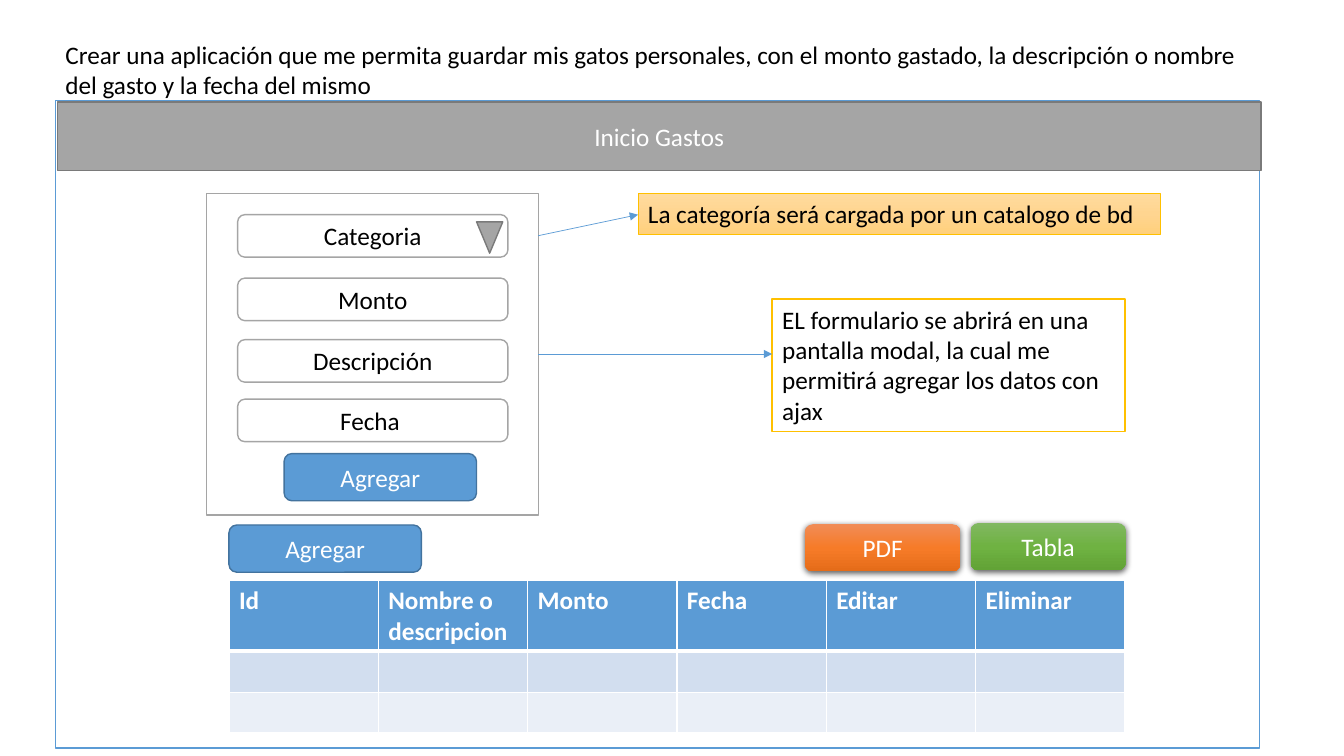
from lxml.etree import SubElement
from pptx import Presentation
from pptx.dml.color import RGBColor
from pptx.enum.shapes import MSO_CONNECTOR as Link, MSO_SHAPE as Form
from pptx.enum.text import MSO_ANCHOR as Anchor, PP_ALIGN as Align
from pptx.oxml.ns import qn
from pptx.util import Cm, Pt

COLORS = {
    "white": "FFFFFF", "black": "000000", "blue": "5B9BD5", "dark_blue": "43739E",
    "gray": "A5A5A5", "dark_gray": "7A7A7A", "gold": "FFC000",
    "band_dark": "D2DEEF", "band_light": "EAEFF7",
}
GRADIENTS = {
    "amber": ("FFDB9E", "FFD590", "FFD07C"),
    "green": ("81B861", "6FB242", "62A336"),
    "orange": ("F18C57", "F67B28", "E56C19"),
}
RGB = {name: RGBColor.from_string(code) for name, code in COLORS.items()}


def write(frame, text, color="black", align=Align.LEFT, anchor=Anchor.TOP, bold=False):
    frame.word_wrap = True
    frame.vertical_anchor = anchor
    para = frame.paragraphs[0]
    para.alignment = align
    span = para.add_run()
    span.text = text
    span.font.color.rgb = RGB[color]
    for name, value in {"name": "Calibri", "size": Pt(18), "bold": bold}.items():
        setattr(span.font, name, value)


def add_box(form, place, fill, line=None, width=1):
    box = page.shapes.add_shape(form, *map(Cm, place))
    box.shadow.inherit = False
    if fill in GRADIENTS:
        box.fill.gradient()
        box.fill.gradient_angle = 270
        stops = next(box.element.spPr.iter(qn("a:gsLst")))
        stops.clear()
        for position, code in zip((0, 50000, 100000), GRADIENTS[fill]):
            stop = SubElement(stops, qn("a:gs"), pos=str(position))
            SubElement(stop, qn("a:srgbClr"), val=code)
    else:
        box.fill.solid()
        box.fill.fore_color.rgb = RGB[fill]
    if line:
        box.line.color.rgb = RGB[line]
        box.line.width = Pt(width)
    else:
        box.line.fill.background()
    return box


deck = Presentation()
deck.slide_width, deck.slide_height = Cm(33.87), Cm(19.05)
page = deck.slides.add_slide(deck.slide_layouts[6])
centered = {"align": Align.CENTER, "anchor": Anchor.MIDDLE}

request = page.shapes.add_textbox(Cm(1.4), Cm(0.86), Cm(30.86), Cm(1.8))
write(request.text_frame, "Crear una aplicación que me permita guardar mis gatos personales, con el monto "
      "gastado, la descripción o nombre del gasto y la fecha del mismo")

add_box(Form.RECTANGLE, (1.4, 2.54, 30.35, 16.31), "white", "blue")
header = add_box(Form.RECTANGLE, (1.45, 2.57, 30.33, 1.73), "gray", "dark_gray")
write(header.text_frame, "Inicio Gastos", "white", **centered)

add_box(Form.RECTANGLE, (5.21, 4.88, 8.36, 8.1), "white", "gray")
for label, top in (("Categoria", 5.41), ("Monto", 7.01), ("Descripción", 8.56), ("Fecha ", 10.06)):
    field = add_box(Form.ROUNDED_RECTANGLE, (5.99, top, 6.81, 1.07), "white", "gray")
    write(field.text_frame, label, **centered)
dropdown = add_box(Form.ISOSCELES_TRIANGLE, (12.01, 5.59, 0.66, 0.79), "gray", "dark_gray")
dropdown.rotation = 180

for left, top in ((7.16, 11.43), (5.77, 13.23)):
    button = add_box(Form.ROUNDED_RECTANGLE, (left, top, 4.85, 1.19), "blue", "dark_blue")
    write(button.text_frame, "Agregar", "white", **centered)

for label, left, top, fill in (("Tabla", 24.46, 13.18, "green"), ("PDF", 20.29, 13.21, "orange")):
    button = add_box(Form.ROUNDED_RECTANGLE, (left, top, 3.91, 1.19), fill)
    write(button.text_frame, label, "white", **centered)
    effects = button.element.spPr.find(qn("a:effectLst"))
    shadow = SubElement(effects, qn("a:outerShdw"), blurRad=str(Pt(4.5)), dist=str(Pt(1.5)),
                        dir="5400000", algn="ctr", rotWithShape="0")
    tone = SubElement(shadow, qn("a:srgbClr"), val=COLORS["black"])
    SubElement(tone, qn("a:alpha"), val="63000")

notes = (
    ("La categoría será cargada por un catalogo de bd", (16.08, 4.88, 13.16, 1.02), "amber", 0.5),
    ("EL formulario se abrirá en una pantalla modal, la cual me permitirá agregar los datos con ajax",
     (19.46, 7.54, 8.89, 3.33), "white", 1),
)
for text, place, fill, width in notes:
    note = add_box(Form.RECTANGLE, place, fill, "gold", width)
    write(note.text_frame, text)

for ends in ((13.56, 5.94, 16.08, 5.41), (13.56, 8.92, 19.46, 8.92)):
    arrow = page.shapes.add_connector(Link.STRAIGHT, *map(Cm, ends))
    arrow.line.color.rgb = RGB["blue"]
    arrow.line.width = Pt(0.5)
    outline = arrow.element.spPr.find(qn("a:ln"))
    SubElement(outline, qn("a:tailEnd"), type="triangle")
    SubElement(arrow.element.spPr, qn("a:effectLst"))

columns = ("Id", "Nombre o descripcion", "Monto", "Fecha", "Editar", "Eliminar")
bands = (("blue", 1.78), ("band_dark", 1.03), ("band_light", 1.03))
table = page.shapes.add_table(len(bands), len(columns), Cm(5.77), Cm(14.63), Cm(22.58), Cm(3.84)).table
for row, (fill, height) in zip(table.rows, bands):
    row.height = Cm(height)
    for cell in row.cells:
        cell.fill.solid()
        cell.fill.fore_color.rgb = RGB[fill]
for cell, label in zip(table.rows[0].cells, columns):
    write(cell.text_frame, label, "white", bold=True)
    properties = cell._tc.tcPr
    border = SubElement(properties, qn("a:lnB"), w=str(Pt(3)))
    SubElement(SubElement(border, qn("a:solidFill")), qn("a:srgbClr"), val=COLORS["white"])
    properties.insert(0, border)

deck.save("out.pptx")
